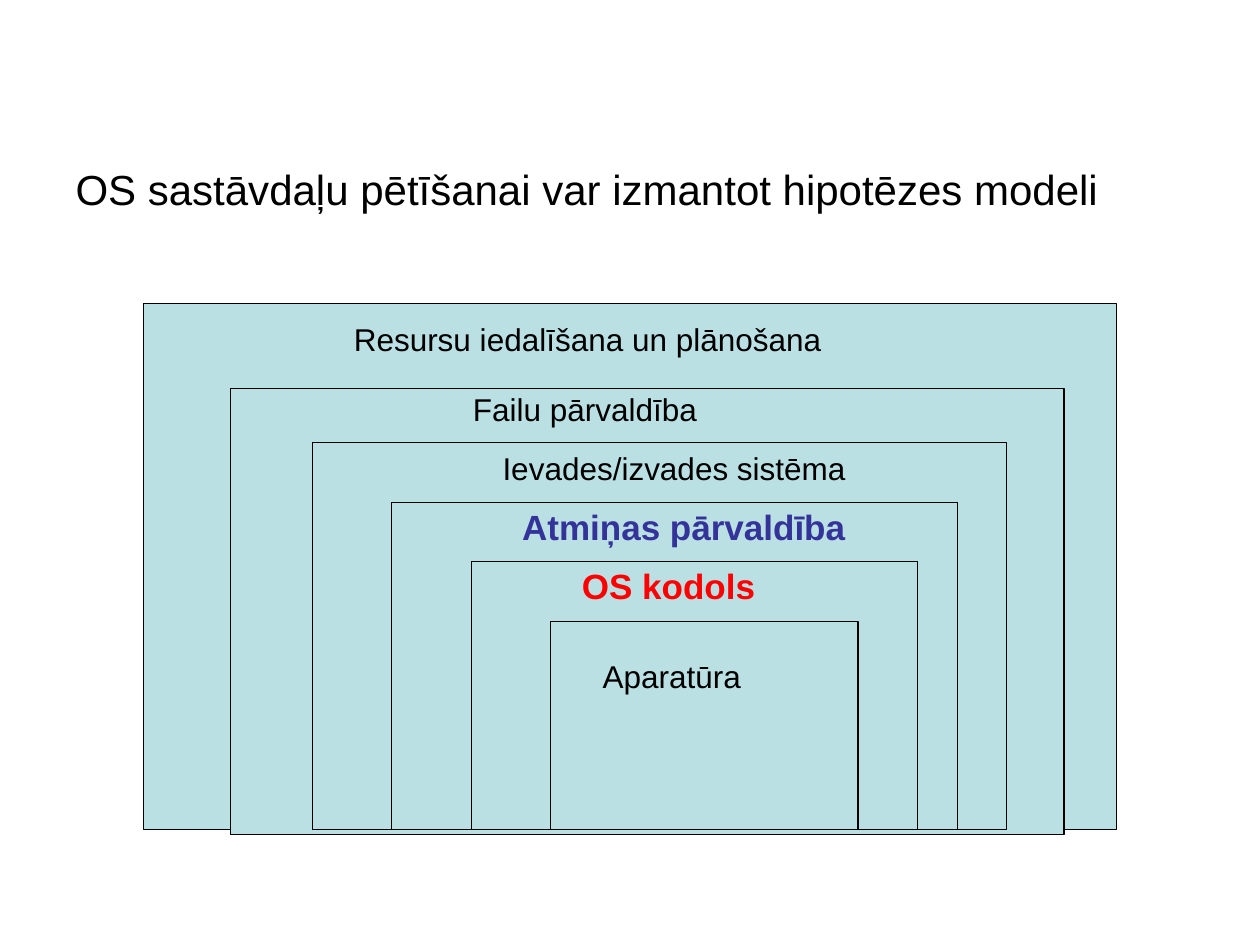
from dataclasses import dataclass

from pptx import Presentation, util as u
from pptx.dml.color import RGBColor
from pptx.enum import shapes, text

SLIDE_WIDTH, SLIDE_HEIGHT = u.Inches(10), u.Inches(7.5)
COLORS = {"layer": "BBE0E3", "black": "000000", "memory": "333399", "kernel": "FF0000"}
MARGINS = {"margin_left": u.Inches(0.1), "margin_right": u.Inches(0.1),
           "margin_top": u.Inches(0.05), "margin_bottom": u.Inches(0.05)}

# Inner layers step right and down by the same share and stand on one floor
STEP = 6.3
INNER_LEFT, INNER_TOP, FLOOR = 24.8, 46.84, 87.8


@dataclass
class Area:
    """Left, top, right and bottom in percent of the slide's size."""
    left: float
    top: float
    right: float
    bottom: float

    def box(self) -> tuple:
        return (across(self.left), down(self.top),
                across(self.right - self.left), down(self.bottom - self.top))


@dataclass
class Label:
    wording: str
    left: float
    top: float
    width: float
    color: str = "black"
    size: int = 18
    bold: bool = False


def across(percent: float) -> int:
    return int(SLIDE_WIDTH * percent / 100)


def down(percent: float) -> int:
    return int(SLIDE_HEIGHT * percent / 100)


def set_values(target, values: dict) -> None:
    for name, value in values.items():
        setattr(target, name, value)


def write(frame, wording: str, size: int, color: str, bold: bool = False):
    set_values(frame, MARGINS)
    paragraph = frame.paragraphs[0]
    paragraph.text = wording
    set_values(paragraph.font, {"name": "Arial", "size": u.Pt(size), "bold": bold})
    paragraph.font.color.rgb = RGBColor.from_string(COLORS[color])
    return paragraph


def draw_layer(slide, area: Area) -> None:
    shape = slide.shapes.add_shape(shapes.MSO_SHAPE.RECTANGLE, *area.box())
    shape.shadow.inherit = False
    shape.fill.solid()
    shape.fill.fore_color.rgb = RGBColor.from_string(COLORS["layer"])
    shape.line.color.rgb = RGBColor.from_string(COLORS["black"])
    shape.line.width = u.Pt(0.75)


def draw_label(slide, label: Label) -> None:
    height = u.Inches(0.4 if label.size == 18 else 0.44)
    shape = slide.shapes.add_textbox(across(label.left), down(label.top),
                                     across(label.width), height)
    set_values(shape.text_frame, {"word_wrap": False,
                                  "auto_size": text.MSO_AUTO_SIZE.SHAPE_TO_FIT_TEXT})
    write(shape.text_frame, label.wording, label.size, label.color, label.bold)


def draw_statement(slide, wording: str) -> None:
    body = slide.placeholders[1]
    set_values(body, {"left": across(5), "top": u.Inches(1.25),
                      "width": across(90), "height": u.Inches(5.58)})
    set_values(body.text_frame, {"word_wrap": True, "auto_size": text.MSO_AUTO_SIZE.NONE,
                                 "vertical_anchor": text.MSO_ANCHOR.TOP})
    paragraph = write(body.text_frame, wording, 24, "black")
    paragraph.space_before = u.Pt(0)
    properties = paragraph._p.get_or_add_pPr()
    set_values(properties, {"marL": u.Inches(0.38), "indent": u.Inches(-0.38)})
    properties.insert_element_before(
        properties.makeelement("{http://schemas.openxmlformats.org/drawingml/2006/main}buNone"),
        "a:tabLst", "a:defRPr", "a:extLst")


def main() -> None:
    presentation = Presentation()
    set_values(presentation, {"slide_width": SLIDE_WIDTH, "slide_height": SLIDE_HEIGHT})
    slide = presentation.slides.add_slide(presentation.slide_layouts[1])

    # Statement in the body; the slide has no title
    title = slide.shapes.title.element
    title.getparent().remove(title)
    draw_statement(slide, "OS sastāvdaļu pētīšanai var izmantot hipotēzes modeli")

    # Nested layers, outermost first
    layers = [Area(11.4, 32.13, 88.6, 87.76), Area(18.32, 41.1, 84.45, 88.32)]
    layers += [Area(INNER_LEFT + STEP * i, INNER_TOP + STEP * i, right, FLOOR)
               for i, right in enumerate((79.9, 76, 72.8, 68.1))]
    for layer in layers:
        draw_layer(slide, layer)

    # Layer names, each box a little wider than its line
    labels = [
        Label("Resursu iedalīšana un plānošana", 27.1, 33.2, 39.3),
        Label("Failu pārvaldība", 36.55, 40.57, 20),
        Label("Ievades/izvades sistēma", 38.9, 46.84, 29.4),
        Label("Atmiņas pārvaldība", 40.45, 52.8, 27.9, "memory", 20, True),
        Label("OS kodols", 45.2, 59.07, 16, "kernel", 20, True),
        Label("Aparatūra", 46.85, 68.9, 13.6),
    ]
    for label in labels:
        draw_label(slide, label)

    presentation.save("out.pptx")


if __name__ == "__main__":
    main()
